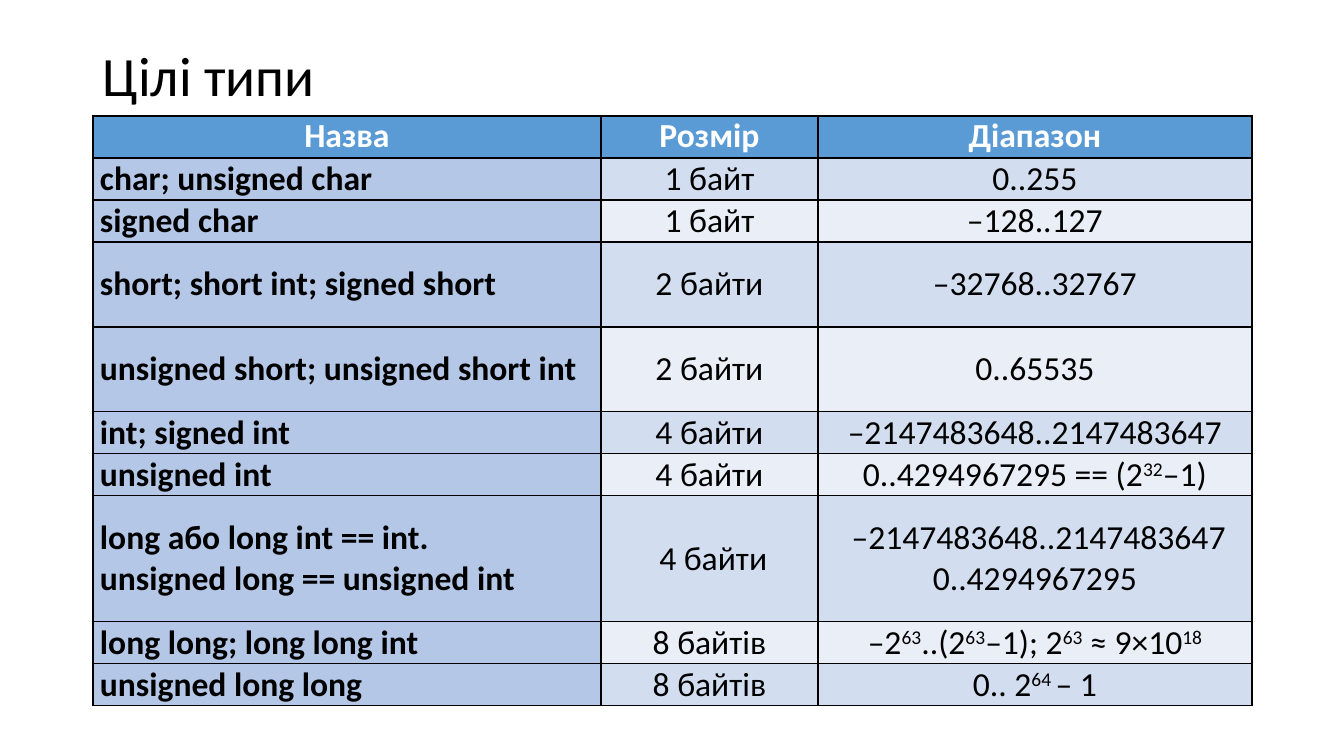
from dataclasses import dataclass

from lxml.etree import SubElement
from pptx import Presentation
from pptx.dml.color import RGBColor
from pptx.enum.text import MSO_ANCHOR, PP_ALIGN
from pptx.oxml.ns import qn
from pptx.util import Pt

PIXEL = 914400 / 100.8
FONT = "Calibri"
BLACK = RGBColor(0x00, 0x00, 0x00)
WHITE = RGBColor(0xFF, 0xFF, 0xFF)
HEADER_BLUE = RGBColor(0x5B, 0x9B, 0xD5)
NAME_BLUE = RGBColor(0xB4, 0xC7, 0xE7)
BANDS = (RGBColor(0xD2, 0xDE, 0xEF), RGBColor(0xEA, 0xEF, 0xF7))
COLUMN_WIDTHS = (508, 217, 434)
HEADINGS = ("Назва", "Розмір", "Діапазон")
LINE_HEIGHT = 42


@dataclass(frozen=True)
class IntegerType:
    """One table row; text between ^ marks is superscript."""
    name: str
    size: str
    values: str
    height: int = LINE_HEIGHT


TYPES = (
    IntegerType("char; unsigned char", "1 байт", "0..255"),
    IntegerType("signed char", "1 байт", "–128..127"),
    IntegerType("short; short int; signed short", "2 байти", "–32768..32767", 85),
    IntegerType("unsigned short; unsigned short int", "2 байти", "0..65535", 85),
    IntegerType("int; signed int", "4 байти", "–2147483648..2147483647"),
    IntegerType("unsigned int", "4 байти", "0..4294967295 == (2^32^–1)"),
    IntegerType("long або long int == int.\nunsigned long == unsigned int",
                "\u00a04 байти", "\u00a0–2147483648..2147483647\n0..4294967295", 126),
    IntegerType("long long; long long int", "8 байтів",
                "–2^63^..(2^63^–1); 2^63^ ≈ 9×10^18^"),
    IntegerType("unsigned long long", "8 байтів", "0.. 2^64 ^– 1"),
)


def px(pixels: int) -> int:
    return round(pixels * PIXEL)


def write(frame, text: str, *, size: float = 24, color: RGBColor = BLACK,
          bold: bool = False, align: PP_ALIGN = PP_ALIGN.LEFT,
          spacing: float = 1.0) -> None:
    for index, line in enumerate(text.split("\n")):
        para = frame.add_paragraph() if index else frame.paragraphs[0]
        para.alignment = align
        para.line_spacing = spacing
        for part, piece in enumerate(line.split("^")):
            if not piece:
                continue
            span = para.add_run()
            span.text = piece
            span.font.name = FONT
            span.font.size = Pt(size)
            span.font.bold = bold
            span.font.color.rgb = color
            if part % 2:
                span._r.get_or_add_rPr().set("baseline", "30000")


def add_borders(cell) -> None:
    properties = cell._tc.get_or_add_tcPr()
    for side in ("a:lnL", "a:lnR", "a:lnT", "a:lnB"):
        line = SubElement(properties, qn(side), w=str(Pt(1)))
        fill = SubElement(line, qn("a:solidFill"))
        SubElement(fill, qn("a:srgbClr"), val=str(BLACK))


def fill_cell(cell, text: str, fill: RGBColor, *, anchor: MSO_ANCHOR = MSO_ANCHOR.MIDDLE,
              **text_format) -> None:
    add_borders(cell)
    cell.fill.solid()
    cell.fill.fore_color.rgb = fill
    cell.margin_left = cell.margin_right = px(7)
    cell.margin_top = cell.margin_bottom = 0
    cell.vertical_anchor = anchor
    write(cell.text_frame, text, **text_format)


deck = Presentation()
deck.slide_width, deck.slide_height = px(1344), px(756)
page = deck.slides.add_slide(deck.slide_layouts[6])

# Title
title_box = page.shapes.add_textbox(px(93), px(40), px(1159), px(77))
title_box.text_frame.word_wrap = True
title_box.text_frame.vertical_anchor = MSO_ANCHOR.MIDDLE
write(title_box.text_frame, "Цілі типи", size=39.6, spacing=0.9)

# Table grid
heights = [LINE_HEIGHT] + [kind.height for kind in TYPES]
table = page.shapes.add_table(len(heights), len(COLUMN_WIDTHS), px(93), px(116),
                              px(sum(COLUMN_WIDTHS)), px(sum(heights))).table
for column, width in zip(table.columns, COLUMN_WIDTHS):
    column.width = px(width)
for row, height in zip(table.rows, heights):
    row.height = px(height)

# Header row
for cell, heading in zip(table.rows[0].cells, HEADINGS):
    fill_cell(cell, heading, HEADER_BLUE, anchor=MSO_ANCHOR.TOP,
              color=WHITE, bold=True, align=PP_ALIGN.CENTER)

# Integer types
for index, kind in enumerate(TYPES):
    name_cell, size_cell, values_cell = table.rows[index + 1].cells
    band = BANDS[index % 2]
    fill_cell(name_cell, kind.name, NAME_BLUE, bold=True)
    fill_cell(size_cell, kind.size, band, align=PP_ALIGN.CENTER)
    fill_cell(values_cell, kind.values, band, align=PP_ALIGN.CENTER)

deck.save("out.pptx")
